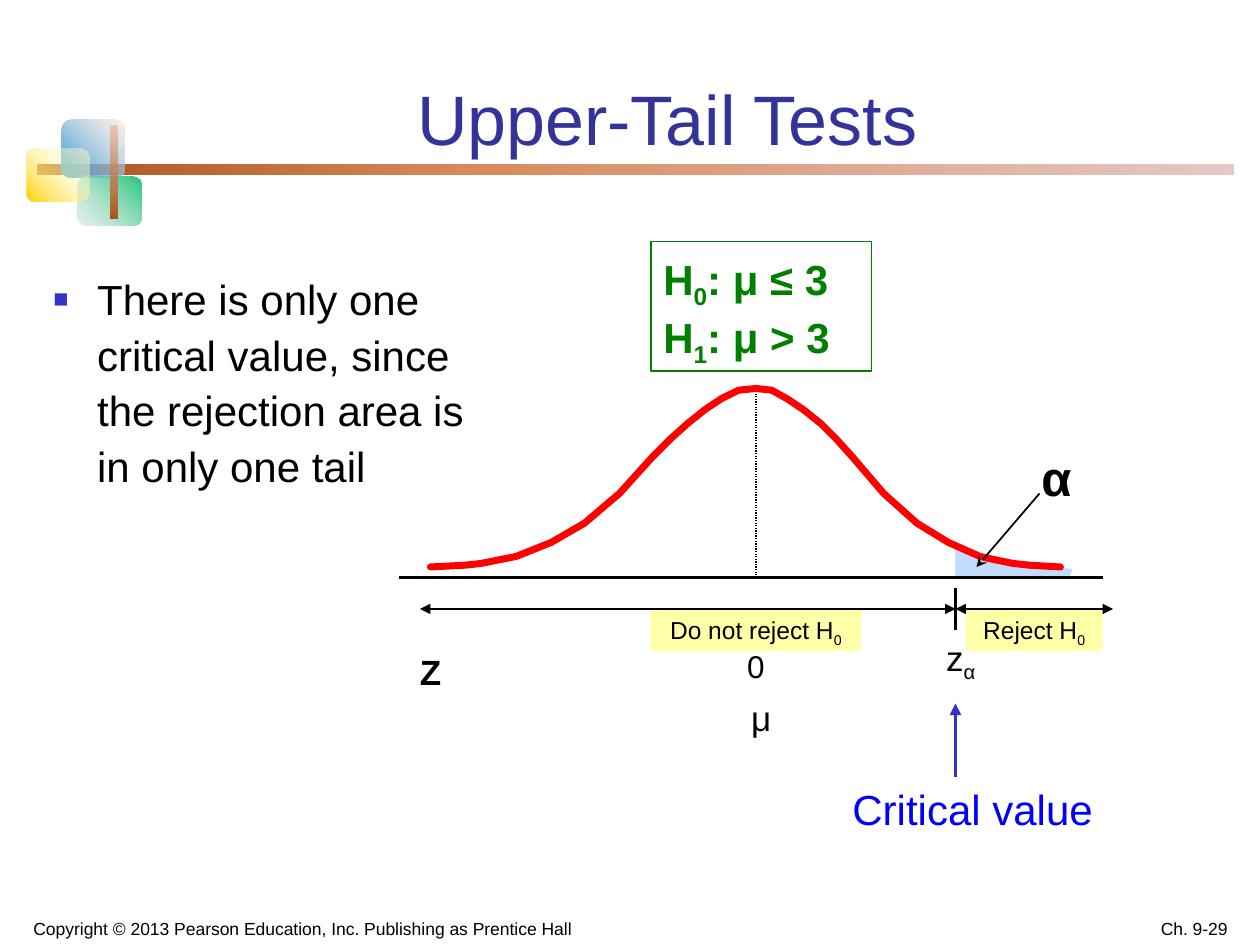
from typing import NamedTuple
from lxml import etree
from pptx import Presentation, util as u
from pptx.dml.color import RGBColor
from pptx.enum import dml, shapes as sh, text as t
from pptx.oxml.ns import qn

Pt = u.Pt
LEFT, MID, RIGHT = t.PP_ALIGN.LEFT, t.PP_ALIGN.CENTER, t.PP_ALIGN.RIGHT
TOP, LOW = t.MSO_ANCHOR.TOP, t.MSO_ANCHOR.BOTTOM


class Tile(NamedTuple):
    box: tuple
    stops: list  # (position %, colour, opacity %)
    angle: int
    bar: bool = False


class Label(NamedTuple):
    box: tuple
    paras: list  # "|" switches between normal and subscript
    size: float
    align: int = MID
    color: str = "000000"
    bold: bool = False
    fill: str = ""
    line: str = ""
    anchor: int = TOP
    inset: float = 7.2
    gaps: tuple = ()  # (line spacing, space before) per paragraph


class Stroke(NamedTuple):
    ends: tuple
    width: float
    color: str = "000000"
    head: str = ""
    tail: str = ""
    dash: bool = False


def rgb(code: str) -> RGBColor:
    return RGBColor.from_string(code)


def apply(obj, vals: dict) -> None:
    for key, val in vals.items():
        setattr(obj, key, val)


def sub(node, tag: str, **attrs):
    return etree.SubElement(node, qn(tag), attrs)


def place(obj, box: tuple) -> None:
    apply(obj, dict(zip(("left", "top", "width", "height"), map(Pt, box))))


def frame(obj, anchor: int, inset: float):
    tf = obj.text_frame
    apply(tf, {"word_wrap": True, "auto_size": t.MSO_AUTO_SIZE.NONE,
               "vertical_anchor": anchor,
               "margin_left": Pt(inset), "margin_right": Pt(inset),
               "margin_top": Pt(3.6), "margin_bottom": Pt(3.6)})
    return tf


def style(font, size: float, color: str, bold: bool = False) -> None:
    apply(font, {"name": "Arial", "size": Pt(size), "bold": bold})
    font.color.rgb = rgb(color)


def draw_tile(slide, tile: Tile) -> None:
    obj = slide.shapes.add_shape(sh.MSO_SHAPE.ROUNDED_RECTANGLE,
                                 *map(Pt, tile.box))
    obj.shadow.inherit = False
    obj.line.fill.background()
    if tile.bar:
        obj.adjustments[0] = 0
    obj.fill.gradient()
    obj.fill.gradient_angle = (360 - tile.angle) % 360
    stops = obj._element.spPr.find(".//" + qn("a:gsLst"))
    for old in list(stops):
        stops.remove(old)
    for pos, color, alpha in tile.stops:
        stop = sub(stops, "a:gs", pos=str(pos * 1000))
        clr = sub(stop, "a:srgbClr", val=color)
        if alpha < 100:
            sub(clr, "a:alpha", val=str(alpha * 1000))


def draw_label(slide, lab: Label) -> None:
    box = tuple(map(Pt, lab.box))
    if lab.fill or lab.line:
        obj = slide.shapes.add_shape(sh.MSO_SHAPE.RECTANGLE, *box)
        obj.shadow.inherit = False
    else:
        obj = slide.shapes.add_textbox(*box)
    for part, color in ((obj.fill, lab.fill), (obj.line.fill, lab.line)):
        if color:
            part.solid()
            part.fore_color.rgb = rgb(color)
        else:
            part.background()
    if lab.line:
        obj.line.width = Pt(0.75)
    tf = frame(obj, lab.anchor, lab.inset)
    for i, words in enumerate(lab.paras):
        para = tf.paragraphs[0] if i == 0 else tf.add_paragraph()
        para.alignment = lab.align
        if lab.gaps:
            space, before = lab.gaps[i]
            apply(para, {"line_spacing": space, "space_before": Pt(before)})
        for n, word in enumerate(words.split("|")):
            if word:
                run = para.add_run()
                run.text = word
                style(run.font, lab.size, lab.color, lab.bold)
                if n % 2:
                    run._r.get_or_add_rPr().set("baseline", "-25000")


def draw_stroke(slide, stroke: Stroke) -> None:
    obj = slide.shapes.add_connector(sh.MSO_CONNECTOR.STRAIGHT,
                                     *map(Pt, stroke.ends))
    obj.line.color.rgb = rgb(stroke.color)
    obj.line.width = Pt(stroke.width)
    if stroke.dash:
        obj.line.dash_style = dml.MSO_LINE.ROUND_DOT
    for tag, kind in (("a:headEnd", stroke.head), ("a:tailEnd", stroke.tail)):
        if kind:
            sub(obj.line._get_or_add_ln(), tag, type=kind)
    sub(obj._element.spPr, "a:effectLst")


def draw_path(slide, pts: list, fill: str = "", line: str = "") -> None:
    path = slide.shapes.build_freeform(*pts[0], scale=Pt(1))
    path.add_line_segments(pts[1:], close=bool(fill))
    obj = path.convert_to_shape()
    obj.shadow.inherit = False
    if fill:
        obj.fill.solid()
        obj.fill.fore_color.rgb = rgb(fill)
        obj.line.fill.background()
    else:
        obj.fill.background()
        obj.line.color.rgb = rgb(line)
        obj.line.width = Pt(4)
        obj.line._get_or_add_ln().set("cap", "rnd")


PEAK, CRIT, BASE, AXIS = 432, 546, 330, 348

TILES = [
    Tile((21, 94, 684, 6), [(0, "AE511E", 100), (37, "D88A5E", 100),
                            (100, "E4C9C6", 100)], 0, True),
    Tile((35, 68.2, 36, 33), [(0, "2895D8", 100), (100, "F7E2D9", 50)], 315),
    Tile((44.6, 101, 36, 28), [(0, "25C580", 100), (100, "CCE2D9", 50)], 135),
    Tile((15, 85, 36, 30), [(0, "FFCF01", 100), (63, "FCFCBC", 50)], 315),
    Tile((63, 72, 4, 53), [(0, "AE511E", 100), (100, "EAA782", 50)], 270, True),
]

# Bell curve: steps out from the peak (of 19) and heights
BELL = [(19, 324), (17, 323.3), (16, 321.8), (15, 319.7), (14, 317.5),
        (13, 313.9), (12, 310.3), (10, 298.8), (8, 281.5), (6, 261.4),
        (5, 251.3), (4, 241.9), (3, 234), (2, 227.5), (1, 223.2), (0, 222)]
TAIL = [(611, BASE), (613, 325), (583, 323.3), (564.5, 318.2),
        (555, 316.8), (CRIT, 312), (CRIT, BASE)]

STROKES = [
    Stroke((228, BASE, 630, BASE), 2),
    Stroke((594, 282, 558, 324), 1, tail="stealth"),
    Stroke((CRIT, 336, CRIT, 360), 1.5),
    Stroke((CRIT, AXIS, 636, AXIS), 1.5, head="triangle", tail="triangle"),
    Stroke((240, AXIS, CRIT, AXIS), 1.5, head="triangle", tail="triangle"),
    Stroke((CRIT, 444, CRIT, 402), 2.25, "3333CC", tail="triangle"),
]

BANDS = [
    Label((552, AXIS, 78, 24), ["Reject H|0"], 14, fill="FFFFA7"),
    Label((372, AXIS, 120, 24), ["Do not reject H|0"], 14, fill="FFFFA7"),
]

LABELS = [
    Label((588, 252, 42, 40), ["α"], 28, LEFT, bold=True),
    Label((528, 360, 42, 31), ["z|α"], 20),
    Label((414, 366, 36, 29), ["0"], 18),
    Label((414, 394.5, 42, 31), ["μ"], 20),
    Label((225, 368, 42, 31), ["Z"], 20, bold=True),
    Label((372, 138, 126, 74), ["H|0|: μ ≤ 3", "H|1|: μ > 3"], 24, LEFT,
          "008000", True, line="008000", gaps=((1.1, 0), (0.7, 6))),
    Label((480, 444, 156, 36), ["Critical value"], 24, LEFT, "0000FF"),
    Label((0, 515, 345.6, 25), ["Copyright © 2013 Pearson Education, Inc. "
                                "Publishing as Prentice Hall"], 10,
          anchor=LOW, inset=6.5),
    Label((540, 515, 168, 25), ["Ch. 9-29"], 10, RIGHT, anchor=LOW, inset=6.5),
]


def main() -> None:
    prs = Presentation()
    apply(prs, {"slide_width": Pt(720), "slide_height": Pt(540)})
    slide = prs.slides.add_slide(prs.slide_layouts[1])

    # Title and bullet
    title, body = slide.placeholders
    place(title, (90.7, 17, 581, 77.7))
    para = frame(title, LOW, 6.5).paragraphs[0]
    para.text = "Upper-Tail Tests"
    para.alignment = MID
    style(para.runs[0].font, 40, "333399")

    place(body, (24, 150, 264, 174))
    para = frame(body, TOP, 6.5).paragraphs[0]
    para.text = ("There is only one critical value, since the rejection "
                 "area is in only one tail")
    apply(para, {"alignment": LEFT, "line_spacing": 1.1, "space_before": Pt(0)})
    props = para._p.get_or_add_pPr()
    props.set("marL", str(Pt(25)))
    props.set("indent", str(-Pt(25)))
    sub(sub(props, "a:buClr"), "a:srgbClr", val="3333CC")
    sub(props, "a:buSzPct", val="60000")
    sub(props, "a:buFont", typeface="Arial")
    sub(props, "a:buChar", char="■")
    style(para.runs[0].font, 24, "000000")

    # Corner ornament
    for tile in TILES:
        draw_tile(slide, tile)

    # Distribution with its shaded tail
    draw_stroke(slide, Stroke((PEAK, 222, PEAK, BASE), 0.75, dash=True))
    for band in BANDS:
        draw_label(slide, band)
    draw_path(slide, TAIL, fill="C3DBFF")
    for reach in (-186, 174):
        curve = [(PEAK + reach * step / 19, y) for step, y in BELL]
        draw_path(slide, curve, line="FF0000")

    # Axis, arrows and labels
    for stroke in STROKES:
        draw_stroke(slide, stroke)
    for label in LABELS:
        draw_label(slide, label)

    prs.save("out.pptx")


if __name__ == "__main__":
    main()
